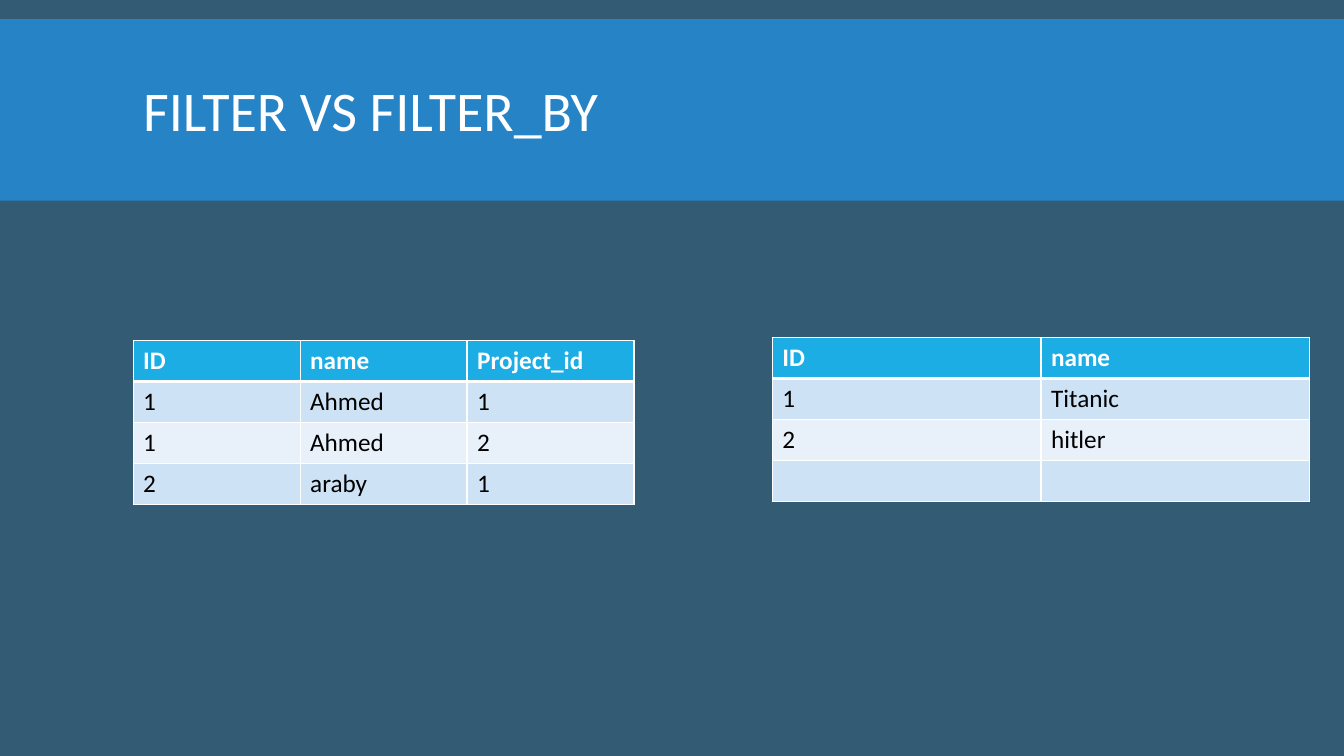
from lxml import etree
from pptx import Presentation
from pptx.dml.color import RGBColor
from pptx.enum.shapes import MSO_SHAPE
from pptx.enum.text import MSO_ANCHOR, PP_ALIGN
from pptx.oxml.ns import qn
from pptx.util import Inches, Pt

RECT = MSO_SHAPE.RECTANGLE
MIDDLE = MSO_ANCHOR.MIDDLE
LEFT = PP_ALIGN.LEFT

WHITE = RGBColor(0xFF, 0xFF, 0xFF)
BLACK = RGBColor(0x00, 0x00, 0x00)
SLATE = RGBColor(0x33, 0x5B, 0x74)
BLUE = RGBColor(0x26, 0x83, 0xC6)
HEADER = RGBColor(0x1C, 0xAD, 0xE4)
BANDS = (RGBColor(0xE8, 0xF1, 0xFA), RGBColor(0xCD, 0xE3, 0xF5))

FONT = "Calibri"
WIDTH, HEIGHT = 13.33, 7.5
MARGIN = 1.32
ROW_HEIGHT = 0.406

PEOPLE = [
    ("ID", "name", "Project_id"),
    ("1", "Ahmed", "1"),
    ("1", "Ahmed", "2"),
    ("2", "araby", "1"),
]
PROJECTS = [
    ("ID", "name"),
    ("1", "Titanic"),
    ("2", "hitler"),
    ("", ""),
]


def add_run(p, text, size, color, bold=False):
    r = p.add_run()
    r.text = text
    r.font.name = FONT
    r.font.size = Pt(size)
    r.font.bold = bold
    r.font.color.rgb = color


def add_band(s, top, height):
    sp = s.shapes.add_shape(RECT, 0, Inches(top), Inches(WIDTH), Inches(height))
    sp.shadow.inherit = False
    sp.fill.solid()
    sp.fill.fore_color.rgb = BLUE
    sp.line.fill.background()
    s.shapes._spTree.insert(2, sp._element)


def set_title(s, text):
    sp = s.shapes.title
    sp.left, sp.top = Inches(MARGIN), Inches(0.31)
    sp.width, sp.height = Inches(10.7), Inches(1.65)
    tf = sp.text_frame
    tf.word_wrap = True
    tf.vertical_anchor = MIDDLE
    p = tf.paragraphs[0]
    p.alignment = LEFT
    p.line_spacing = 0.85
    add_run(p, text, 40, WHITE)


def set_borders(cell, top, bottom):
    tcPr = cell._tc.get_or_add_tcPr()
    for side, width in (("L", 1), ("R", 1), ("T", top), ("B", bottom)):
        ln = etree.SubElement(tcPr, qn(f"a:ln{side}"), w=str(Pt(width)))
        fill = etree.SubElement(ln, qn("a:solidFill"))
        etree.SubElement(fill, qn("a:srgbClr"), val=str(WHITE))


def add_data_table(s, rows, left, top, width):
    frame = s.shapes.add_table(
        len(rows), len(rows[0]), Inches(left), Inches(top),
        Inches(width), Inches(ROW_HEIGHT * len(rows)))
    for i, row in enumerate(rows):
        for j, text in enumerate(row):
            cell = frame.table.cell(i, j)
            set_borders(cell, 3 if i == 1 else 1, 3 if i == 0 else 1)
            cell.fill.solid()
            cell.fill.fore_color.rgb = BANDS[i % 2] if i else HEADER
            p = cell.text_frame.paragraphs[0]
            if text:
                add_run(p, text, 18, BLACK if i else WHITE, i == 0)
            else:
                p.font.size = Pt(18)


def main():
    prs = Presentation()
    prs.slide_width, prs.slide_height = Inches(WIDTH), Inches(HEIGHT)
    s = prs.slides.add_slide(prs.slide_layouts[5])
    s.background.fill.solid()
    s.background.fill.fore_color.rgb = SLATE
    add_band(s, 0.19, 1.8)
    set_title(s, "FILTER VS FILTER_BY")
    add_data_table(s, PEOPLE, MARGIN, 3.38, 4.97)
    add_data_table(s, PROJECTS, 7.66, 3.35, 5.33)
    prs.save("out.pptx")


if __name__ == "__main__":
    main()
